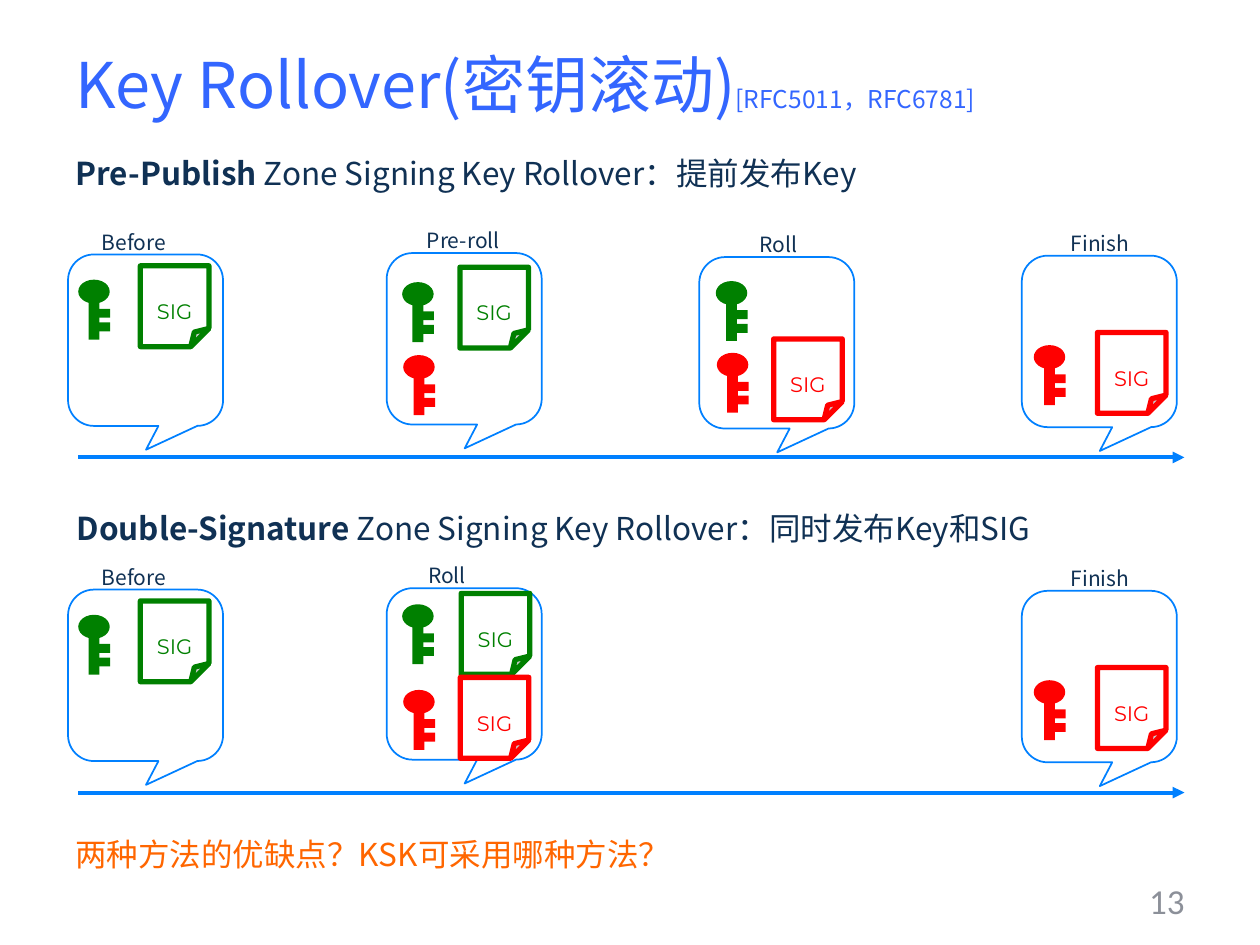
from dataclasses import dataclass
from typing import Any

from lxml.etree import SubElement
from pptx import Presentation
from pptx.dml.color import RGBColor
from pptx.enum.shapes import MSO_CONNECTOR, MSO_SHAPE
from pptx.enum.text import MSO_ANCHOR, MSO_AUTO_SIZE, PP_ALIGN
from pptx.oxml.ns import qn
from pptx.util import Pt

COLORS = {
    "title": "3366FF",
    "ink": "103154",
    "question": "FF6600",
    "number": "8C9099",
    "frame": "0080FF",
    "old": "008000",
    "new": "FF0000",
    "paper": "FFFFFF",
}

# Label, its left and width; then keys and signatures as (colour, left, top).
# Positions are relative to the stage's callout.
BEFORE = ("Before", 12.2, 52.6, [("old", 5.8, 14.4)], [("old", 41.3, 6.5)])
PRE_ROLL = ("Pre-roll", 15.8, 56.9,
            [("old", 8.8, 16.6), ("new", 9.4, 58.3)], [("old", 41.8, 8.1)])
ROLL = ("Roll", 27.4, 36,
        [("old", 9.4, 13.7), ("new", 10, 54.7)], [("new", 42.5, 46.8)])
DOUBLE_ROLL = ("Roll", 16.6, 36,
               [("old", 8.8, 9.2), ("new", 9.4, 58.1)],
               [("old", 42.5, 3), ("new", 42, 51)])
FINISH = ("Finish", 20.9, 48.2, [("new", 6.8, 51.1)], [("new", 43.2, 43.9)])

# Axis height, then each stage with its callout's left and top above the axis.
TIMELINES = [
    (261.4, [(BEFORE, 38.9, 116), (PRE_ROLL, 221, 116.8),
             (ROLL, 399.6, 114.5), (FINISH, 583.9, 115.3)]),
    (452.9, [(BEFORE, 38.9, 116), (DOUBLE_ROLL, 221, 116.8),
             (FINISH, 583.9, 115.3)]),
]


def rgb(name):
    return RGBColor.from_string(COLORS[name])


@dataclass
class RolloverSlide:
    slide: Any
    text_font: str = "Noto Sans CJK SC"
    sig_font: str = "Montserrat"
    number_font: str = "Calibri"

    def style(self, paragraph, size, color, font=None):
        paragraph.font.size = Pt(size)
        paragraph.font.color.rgb = rgb(color)
        paragraph.font.name = font or self.text_font
        for latin in list(paragraph._p.iter(qn("a:latin"))):
            east_asian = latin.makeelement(qn("a:ea"), typeface=paragraph.font.name)
            latin.addnext(east_asian)

    def place(self, box, left, top, width, height):
        box.left, box.top = Pt(left), Pt(top)
        box.width, box.height = Pt(width), Pt(height)

    def title(self, heading, reference):
        title = self.slide.shapes.title
        self.place(title, 36, 2.9, 648, 90)
        title.text_frame.auto_size = MSO_AUTO_SIZE.NONE
        title.text_frame.vertical_anchor = MSO_ANCHOR.MIDDLE
        paragraph = title.text_frame.paragraphs[0]
        paragraph.alignment = PP_ALIGN.LEFT
        for text, size in ((heading, 36), (reference, 14)):
            run = paragraph.add_run()
            run.text = text
            run.font.size = Pt(size)
        self.style(paragraph, 36, "title")

    def statement(self, box, strong, text, color="ink"):
        """Fill a box with one unbulleted line that may open in bold."""
        frame = box.text_frame
        frame.word_wrap = True
        frame.auto_size = MSO_AUTO_SIZE.NONE
        paragraph = frame.paragraphs[0]
        paragraph.line_spacing = 1.2
        paragraph.space_before = Pt(3.6)
        if strong:
            opening = paragraph.add_run()
            opening.text = strong
            opening.font.bold = True
        paragraph.add_run().text = text
        self.style(paragraph, 18, color)
        properties = paragraph._p.get_or_add_pPr()
        properties.set("marL", "0")
        properties.set("indent", "0")
        no_bullet = properties.makeelement(qn("a:buNone"))
        properties.find(qn("a:defRPr")).addprevious(no_bullet)

    def text_box(self, left, top, width, height):
        return self.slide.shapes.add_textbox(
            Pt(left), Pt(top), Pt(width), Pt(height))

    def label(self, text, left, top, width):
        frame = self.text_box(left, top, width, 21.8).text_frame
        frame.word_wrap = False
        frame.auto_size = MSO_AUTO_SIZE.SHAPE_TO_FIT_TEXT
        frame.text = text
        self.style(frame.paragraphs[0], 12, "ink")

    def page_number(self, number):
        frame = self.text_box(516, 500.4, 168, 28.8).text_frame
        frame.word_wrap = True
        frame.vertical_anchor = MSO_ANCHOR.MIDDLE
        frame.text = number
        frame.paragraphs[0].alignment = PP_ALIGN.RIGHT
        self.style(frame.paragraphs[0], 20, "number", self.number_font)

    def shape(self, shapes, preset, left, top, width, height,
              fill=None, line=None, weight=1):
        shape = shapes.add_shape(preset, Pt(left), Pt(top), Pt(width), Pt(height))
        shape.shadow.inherit = False
        if fill:
            shape.fill.solid()
            shape.fill.fore_color.rgb = rgb(fill)
        else:
            shape.fill.background()
        if line:
            shape.line.color.rgb = rgb(line)
            shape.line.width = Pt(weight)
        else:
            shape.line.fill.background()
        return shape

    def adjust(self, shape, **guides):
        """Set preset guides by name, including those python-pptx does not list."""
        geometry = shape._element.spPr.find(qn("a:prstGeom"))
        for old_list in geometry.findall(qn("a:avLst")):
            geometry.remove(old_list)
        guide_list = SubElement(geometry, qn("a:avLst"))
        for name, value in guides.items():
            SubElement(guide_list, qn("a:gd"), name=name, fmla=f"val {value}")

    def key(self, color, left, top):
        parts = self.slide.shapes.add_group_shape().shapes
        self.shape(parts, MSO_SHAPE.OVAL, left, top, 18, 13.7, color)
        self.shape(parts, MSO_SHAPE.RECTANGLE, left + 5.9, top + 10.5, 6.2, 23.8, color)
        for tooth in (24.5, 16.7):
            self.shape(parts, MSO_SHAPE.RECTANGLE,
                       left + 9, top + tooth, 9.2, 5.1, color)

    def signature(self, color, left, top):
        sheet = self.shape(self.slide.shapes, MSO_SHAPE.FOLDED_CORNER,
                           left, top, 39.2, 46.2, "paper", color, 3)
        self.adjust(sheet, adj=26500)
        frame = sheet.text_frame
        frame.margin_left = frame.margin_right = frame.margin_bottom = 0
        frame.margin_top = Pt(16)
        frame.vertical_anchor = MSO_ANCHOR.MIDDLE
        frame.text = "SIG"
        frame.paragraphs[0].alignment = PP_ALIGN.CENTER
        self.style(frame.paragraphs[0], 12, color, self.sig_font)

    def callout(self, left, top):
        callout = self.shape(self.slide.shapes, MSO_SHAPE.ROUNDED_RECTANGULAR_CALLOUT,
                             left, top, 88.6, 98, line="frame")
        self.adjust(callout, adj1=300, adj2=63900, adj3=16700)

    def axis(self, height):
        axis = self.slide.shapes.add_connector(
            MSO_CONNECTOR.STRAIGHT, Pt(44.6), Pt(height), Pt(676.8), Pt(height))
        axis.line.color.rgb = rgb("frame")
        axis.line.width = Pt(2.25)
        outline = axis._element.spPr.find(qn("a:ln"))
        SubElement(outline, qn("a:tailEnd"), type="triangle")
        SubElement(axis._element.spPr, qn("a:effectLst"))

    def stage(self, stage, left, top):
        label, label_left, label_width, keys, signatures = stage
        self.callout(left, top)
        for color, x, y in keys:
            self.key(color, left + x, top + y)
        for color, x, y in signatures:
            self.signature(color, left + x, top + y)
        self.label(label, left + label_left, top - 18, label_width)


def main():
    presentation = Presentation()
    presentation.slide_width, presentation.slide_height = Pt(720), Pt(540)
    slide = presentation.slides.add_slide(presentation.slide_layouts[1])
    rollover = RolloverSlide(slide)
    rollover.title("Key Rollover(密钥滚动)", "[RFC5011，RFC6781]")
    pre_publish = slide.placeholders[1]
    rollover.place(pre_publish, 36, 79.9, 648, 40.3)
    rollover.statement(pre_publish, "Pre-Publish", " Zone Signing Key Rollover：提前发布Key")
    rollover.statement(rollover.text_box(36.7, 283, 648, 40.3), "Double-Signature",
                       " Zone Signing Key Rollover：同时发布Key和SIG")
    rollover.statement(rollover.text_box(36, 469.4, 648, 40.3), "",
                       "两种方法的优缺点？KSK可采用哪种方法？", "question")
    for axis_height, stages in TIMELINES:
        rollover.axis(axis_height)
        for stage, left, rise in stages:
            rollover.stage(stage, left, axis_height - rise)
    rollover.page_number("13")
    presentation.save("out.pptx")


if __name__ == "__main__":
    main()
